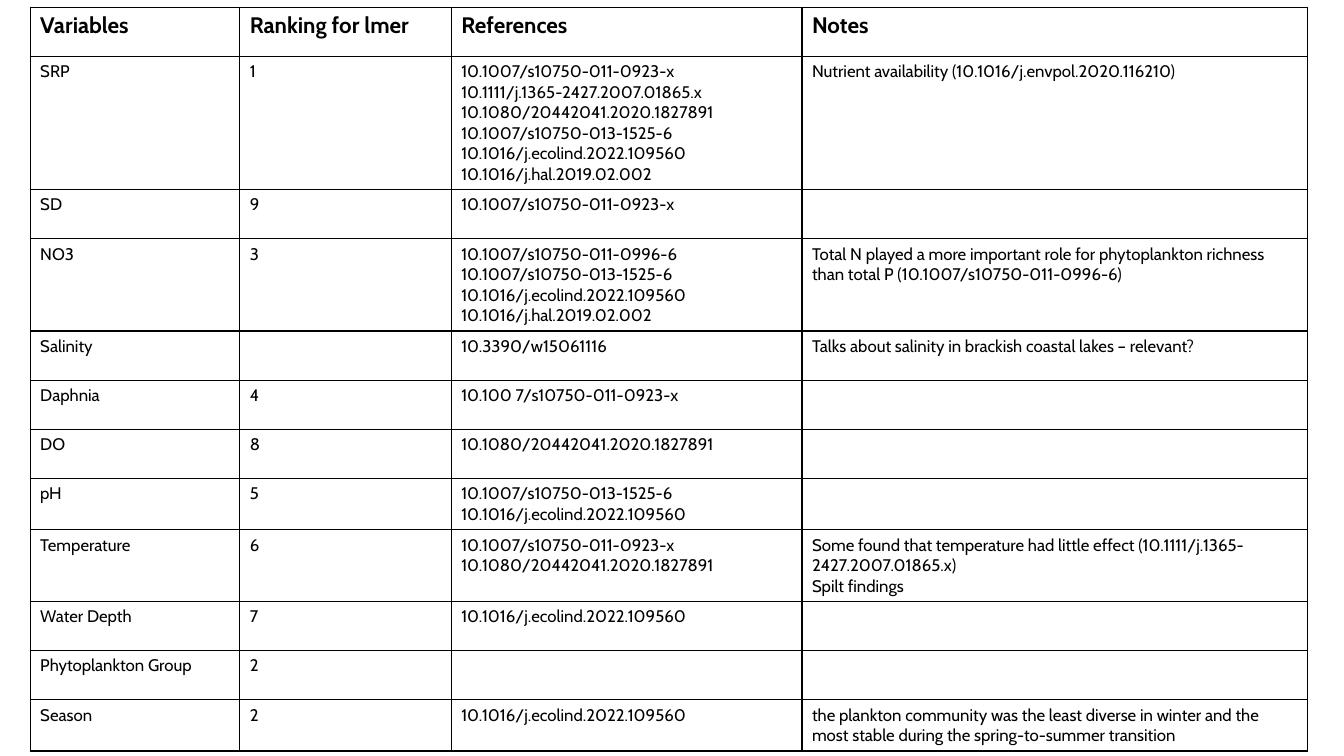
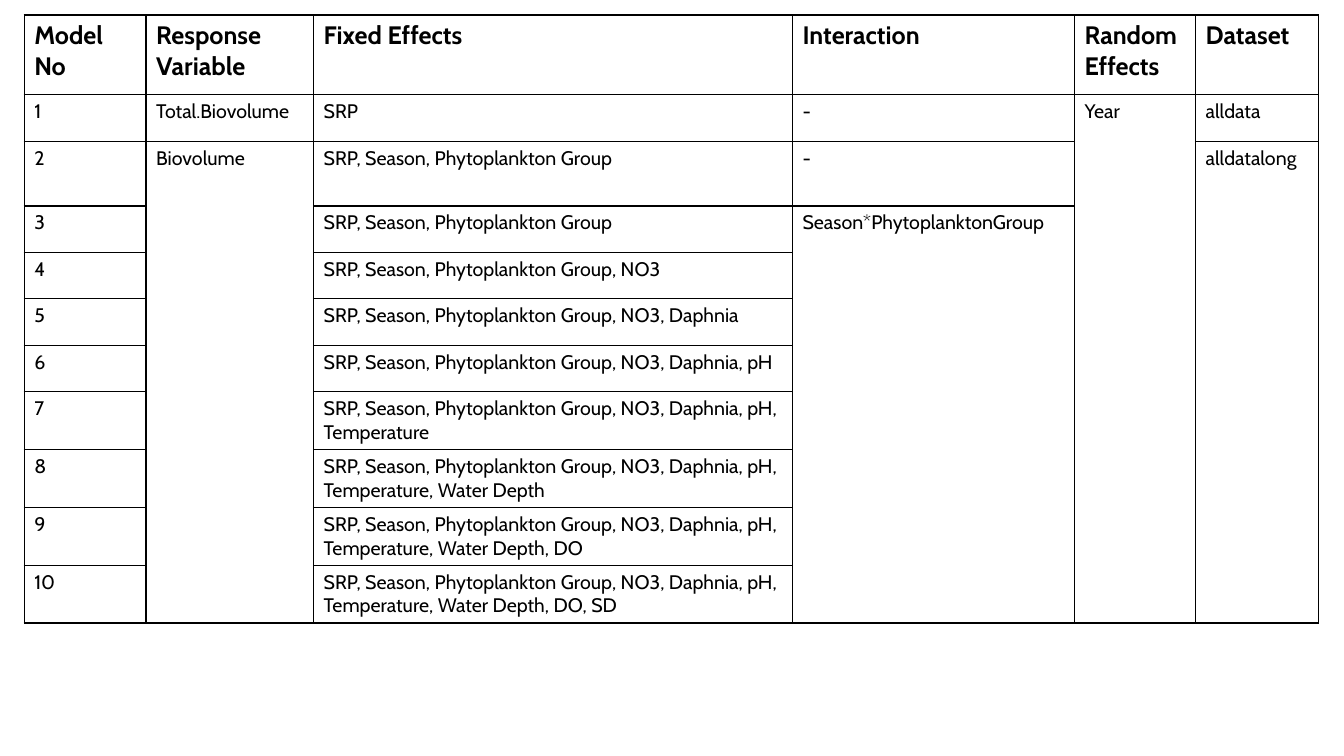
from dataclasses import dataclass

from lxml import etree
from pptx import Presentation
from pptx.dml.color import RGBColor
from pptx.oxml import ns
from pptx.util import Cm, Pt


@dataclass(frozen=True)
class Theme:
    font: str = "Cabin"
    ink: str = "000000"
    paper: str = "FFFFFF"
    border: float = 1


THEME = Theme()

# Content: a cell with None continues the cell above it
VARIABLES = [
    ("Variables", "Ranking for lmer", "References", "Notes"),
    ("SRP", "1",
     "10.1007/s10750-011-0923-x\n10.1111/j.1365-2427.2007.01865.x\n"
     "10.1080/20442041.2020.1827891\n10.1007/s10750-013-1525-6\n"
     "10.1016/j.ecolind.2022.109560\n10.1016/j.hal.2019.02.002",
     "Nutrient availability (10.1016/j.envpol.2020.116210)"),
    ("SD", "9", "10.1007/s10750-011-0923-x", ""),
    ("NO3", "3",
     "10.1007/s10750-011-0996-6\n10.1007/s10750-013-1525-6\n"
     "10.1016/j.ecolind.2022.109560\n10.1016/j.hal.2019.02.002",
     "Total N played a more important role for phytoplankton richness "
     "than total P (10.1007/s10750-011-0996-6)"),
    ("Salinity", "", "10.3390/w15061116",
     "Talks about salinity in brackish coastal lakes – relevant?"),
    ("Daphnia", "4", "10.100 7/s10750-011-0923-x", ""),
    ("DO", "8", "10.1080/20442041.2020.1827891", ""),
    ("pH", "5", "10.1007/s10750-013-1525-6\n10.1016/j.ecolind.2022.109560", ""),
    ("Temperature", "6",
     "10.1007/s10750-011-0923-x\n10.1080/20442041.2020.1827891",
     "Some found that temperature had little effect "
     "(10.1111/j.1365-2427.2007.01865.x)\nSpilt findings"),
    ("Water Depth", "7", "10.1016/j.ecolind.2022.109560", ""),
    ("Phytoplankton Group", "2", "", ""),
    ("Season", "2", "10.1016/j.ecolind.2022.109560",
     "the plankton community was the least diverse in winter and the most "
     "stable during the spring-to-summer transition"),
]

EFFECTS = ["SRP", "Season", "Phytoplankton Group", "NO3", "Daphnia", "pH",
           "Temperature", "Water Depth", "DO", "SD"]


def fixed_effects(count):
    return ", ".join(EFFECTS[:count])


# From model 3 on, each model adds one more fixed effect
MODELS = [
    ("Model No", "Response Variable", "Fixed Effects", "Interaction",
     "Random Effects", "Dataset"),
    ("1", "Total.Biovolume", fixed_effects(1), "-", "Year", "alldata"),
    ("2", "Biovolume", fixed_effects(3), "-", None, "alldatalong"),
    ("3", None, fixed_effects(3), "Season*PhytoplanktonGroup", None, None),
] + [(str(model), None, fixed_effects(model), None, None, None)
     for model in range(4, len(EFFECTS) + 1)]

# Lengths in centimetres, type sizes in points
TABLES = [
    dict(rows=VARIABLES, left=0.76, top=0.18, columns=[5.28, 5.33, 8.84, 12.75],
         heights=[1.24] * len(VARIABLES), head_size=16, body_size=12),
    dict(rows=MODELS, left=0.61, top=0.38,
         columns=[3.07, 4.22, 12.07, 7.11, 3.05, 3.1],
         heights=[2.01, 1.17, 1.63] + [1.17] * (len(MODELS) - 3),
         head_size=18, body_size=14),
]


def write_text(frame, text, *, size, bold=False, color=THEME.ink):
    frame.text = text
    for paragraph in frame.paragraphs:
        for target in (paragraph, *paragraph.runs):
            target.font.name = THEME.font
            target.font.size = Pt(size)
            target.font.bold = bold
            target.font.color.rgb = RGBColor.from_string(color)


def style_cell(cell):
    properties = cell._tc.get_or_add_tcPr()
    for side in ("a:lnL", "a:lnR", "a:lnT", "a:lnB"):
        line = etree.SubElement(properties, ns.qn(side), w=str(Pt(THEME.border)))
        fill = etree.SubElement(line, ns.qn("a:solidFill"))
        etree.SubElement(fill, ns.qn("a:srgbClr"), val=THEME.ink)
    cell.fill.solid()
    cell.fill.fore_color.rgb = RGBColor.from_string(THEME.paper)


def merge_continued(table, rows):
    for column in range(len(rows[0])):
        start = 0
        for end in range(1, len(rows) + 1):
            if end < len(rows) and rows[end][column] is None:
                continue
            if end - start > 1:
                table.cell(start, column).merge(table.cell(end - 1, column))
            start = end


def add_grid(slide, *, rows, left, top, columns, heights, head_size, body_size):
    table = slide.shapes.add_table(
        len(rows), len(columns), Cm(left), Cm(top),
        Cm(sum(columns)), Cm(sum(heights))).table
    table.first_row = table.horz_banding = False
    for column, width in zip(table.columns, columns):
        column.width = Cm(width)
    for row, height in zip(table.rows, heights):
        row.height = Cm(height)
    for row_index, row in enumerate(rows):
        is_head = row_index == 0
        for column_index, text in enumerate(row):
            cell = table.cell(row_index, column_index)
            style_cell(cell)
            write_text(cell.text_frame, text or "", bold=is_head,
                       size=head_size if is_head else body_size)
    merge_continued(table, rows)


def main():
    presentation = Presentation()
    presentation.slide_width, presentation.slide_height = Cm(33.87), Cm(19.05)
    blank_layout = presentation.slide_layouts[6]
    for grid in TABLES:
        add_grid(presentation.slides.add_slide(blank_layout), **grid)
    presentation.save("out.pptx")


if __name__ == "__main__":
    main()
